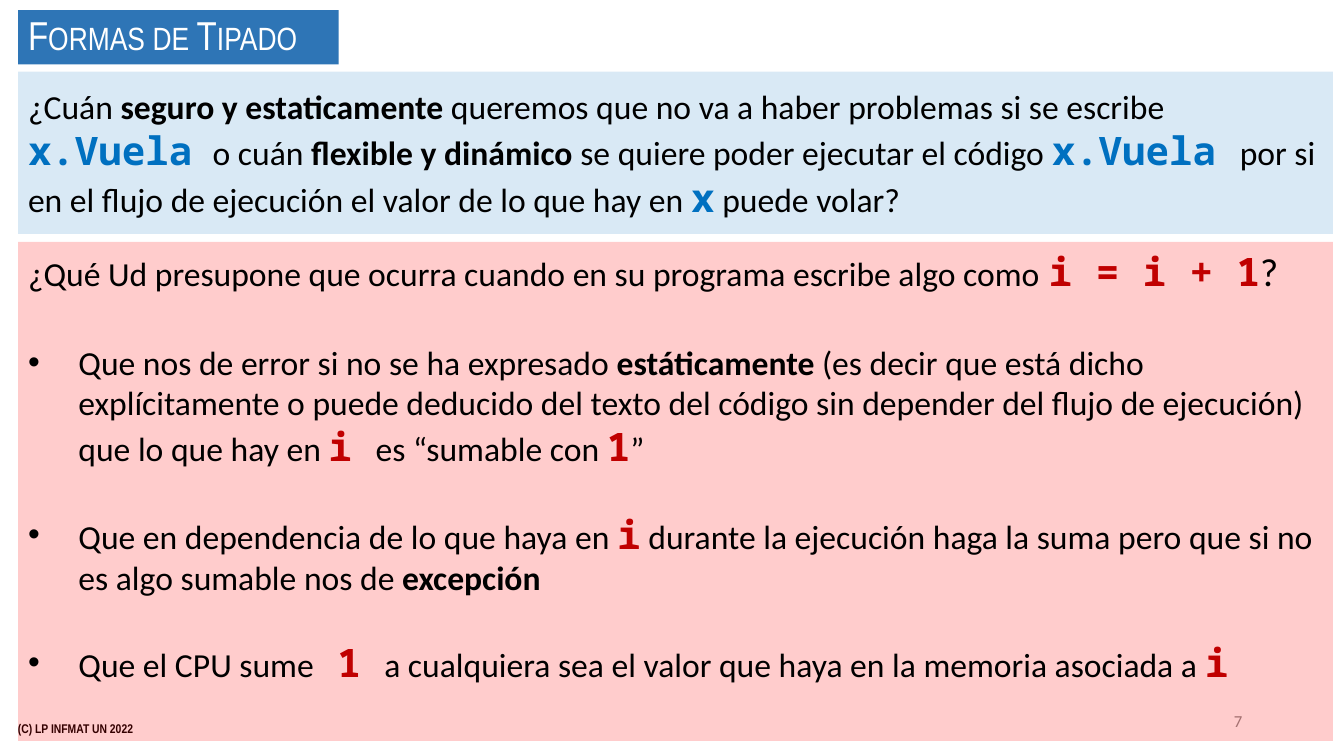
from lxml import etree
from pptx import Presentation
from pptx.dml.color import RGBColor
from pptx.enum.shapes import MSO_SHAPE
from pptx.enum.text import MSO_ANCHOR, PP_ALIGN
from pptx.oxml.ns import qn
from pptx.util import Inches, Pt

RECTANGLE = MSO_SHAPE.RECTANGLE
MIDDLE, TOP = MSO_ANCHOR.MIDDLE, MSO_ANCHOR.TOP
LEFT, RIGHT = PP_ALIGN.LEFT, PP_ALIGN.RIGHT

COLOURS = {
    "black": "000000", "white": "FFFFFF", "grey": "8C8C8C",
    "title": "2E75B6", "blue": "0070C0", "red": "FF0000", "dark_red": "C00000",
}
STYLES = {
    "plain": ("Calibri", 24, "black", False),
    "bold": ("Calibri", 24, "black", True),
    "large": ("Calibri", 28, "black", False),
    "member": ("Noto Sans Mono", 28, "blue", True),
    "space": ("Noto Sans Mono", 24, "blue", True),
    "code": ("Noto Sans Mono", 28, "dark_red", True),
    "title": ("Arial Narrow", 28.8, "white", False),
    "footer": ("Arial Narrow", 9, "black", True),
    "number": ("Calibri", 12, "grey", False),
}

SAFETY_QUESTION = [
    ("¿Cuán ", "plain"), ("seguro y estaticamente", "bold"),
    (" queremos que no va a haber problemas si se escribe ", "plain"),
    ("x.Vuela", "member"), (" ", "space"), ("o cuán ", "plain"),
    ("flexible y dinámico ", "bold"),
    ("se quiere poder ejecutar el código ", "plain"), ("x.Vuela ", "member"),
    ("por si en el flujo de ejecución el valor de lo que hay en ", "plain"),
    ("x", "member"), (" puede volar?", "plain"),
]
SUM_QUESTION = [
    ("¿Qué Ud presupone que ocurra cuando en su programa escribe algo como", "plain"),
    (" ", "large"), ("i = i + 1", "code"), ("?", "large"),
]
ANSWERS = [
    (34, [
        ("Que nos de error si no se ha expresado", "plain"),
        (" estáticamente ", "bold"),
        ("(es decir que está dicho explícitamente o puede deducido del texto "
         "del código sin depender del flujo de ejecución) que lo que hay en ", "plain"),
        ("i ", "code"), ("es “sumable con ", "plain"), ("1", "code"), ("”", "plain"),
    ]),
    (29.3, [
        ("Que en dependencia de lo que haya en ", "plain"), ("i", "code"),
        (" durante la ejecución haga la suma pero que si no es algo sumable nos de ",
         "plain"),
        ("excepción", "bold"),
    ]),
    (29.3, [
        ("Que el CPU sume", "plain"), (" 1 ", "code"),
        ("a cualquiera sea el valor que haya en la memoria asociada a ", "plain"),
        ("i", "code"),
    ]),
]


class SlideBuilder:
    def __init__(self, slide):
        self.slide = slide

    def panel(self, box, fill, opacity=100, anchor=MIDDLE):
        shape = self.slide.shapes.add_shape(RECTANGLE, *map(Inches, box))
        shape.shadow.inherit = False
        shape.line.fill.background()
        shape.fill.solid()
        shape.fill.fore_color.rgb = RGBColor.from_string(COLOURS[fill])
        if opacity < 100:
            colour = shape.element.spPr.find(".//" + qn("a:srgbClr"))
            etree.SubElement(colour, qn("a:alpha"), val=str(opacity * 1000))
        return self.frame(shape, anchor)

    def text_box(self, box):
        return self.frame(self.slide.shapes.add_textbox(*map(Inches, box)), MIDDLE)

    def frame(self, shape, anchor):
        shape.text_frame.word_wrap = True
        shape.text_frame.vertical_anchor = anchor
        return shape.text_frame

    def add_runs(self, paragraph, runs, align=LEFT):
        paragraph.alignment = align
        for text, style in runs:
            run = paragraph.add_run()
            run.text = text
            name, size, colour, bold = STYLES[style]
            font = run.font
            font.name, font.size, font.bold = name, Pt(size), bold
            font.color.rgb = RGBColor.from_string(COLOURS[colour])
            if style == "title":
                font._element.set("cap", "small")

    def bullet(self, frame, runs, gap):
        paragraph = frame.add_paragraph()
        self.add_runs(paragraph, runs)
        paragraph.space_before = Pt(gap)
        properties = paragraph._p.get_or_add_pPr()
        properties.set("marL", str(Inches(0.5)))
        properties.set("indent", str(Inches(-0.5)))
        etree.SubElement(properties, qn("a:buFont"), typeface="Arial")
        etree.SubElement(properties, qn("a:buChar"), char="•")


def main():
    presentation = Presentation()
    presentation.slide_width = Inches(13.33)
    presentation.slide_height = Inches(7.5)
    builder = SlideBuilder(presentation.slides.add_slide(presentation.slide_layouts[6]))

    footer = builder.text_box((0.08, 7.03, 4.5, 0.4))
    builder.add_runs(footer.paragraphs[0], [("(C) LP INFMAT UN 2022", "footer")])
    number = builder.text_box((9.42, 6.95, 3, 0.4))
    builder.add_runs(number.paragraphs[0], [("7", "number")], RIGHT)

    title = builder.panel((0.18, 0.1, 3.18, 0.54), "title")
    builder.add_runs(title.paragraphs[0], [("Formas de Tipado", "title")])
    title.paragraphs[0].line_spacing = 0.9

    safety = builder.panel((0.18, 0.71, 13.04, 1.61), "blue", 15)
    builder.add_runs(safety.paragraphs[0], SAFETY_QUESTION)

    answers = builder.panel((0.18, 2.4, 13.04, 4.95), "red", 20, TOP)
    builder.add_runs(answers.paragraphs[0], SUM_QUESTION)
    for gap, runs in ANSWERS:
        builder.bullet(answers, runs, gap)

    presentation.save("out.pptx")


if __name__ == "__main__":
    main()
